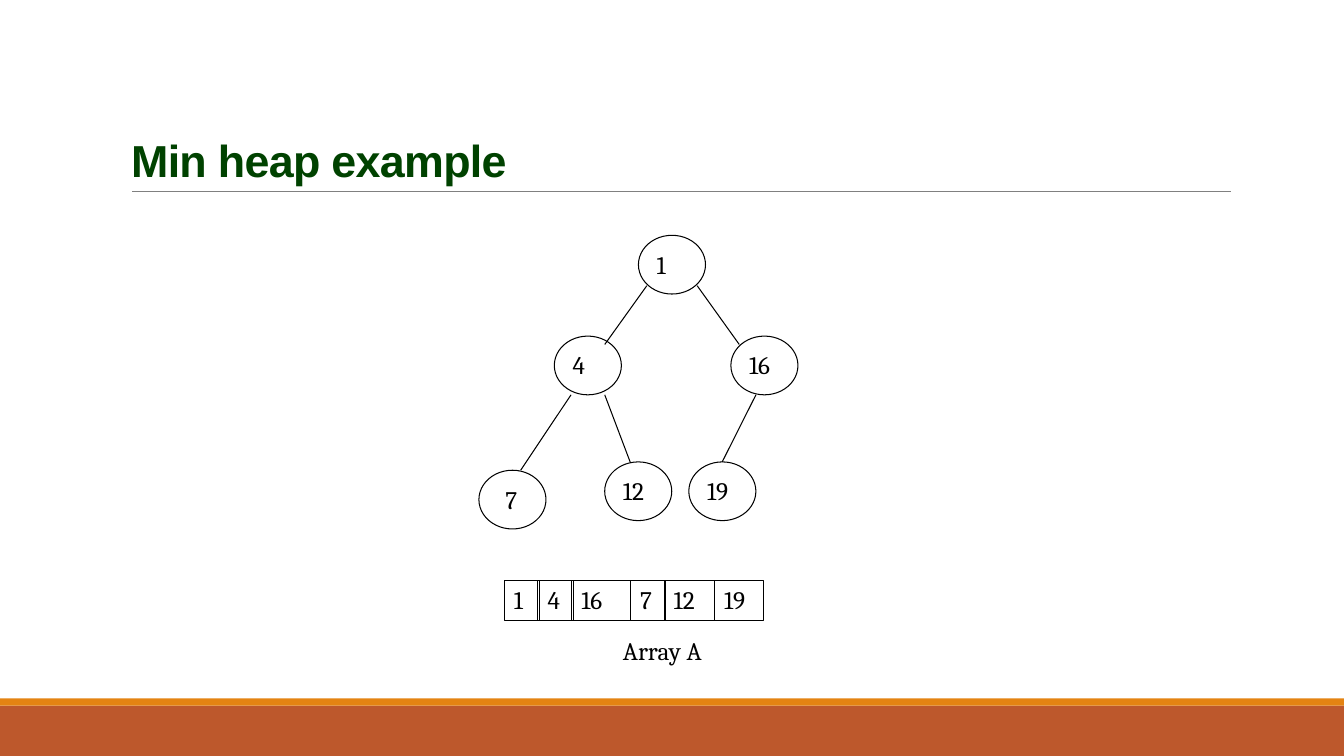
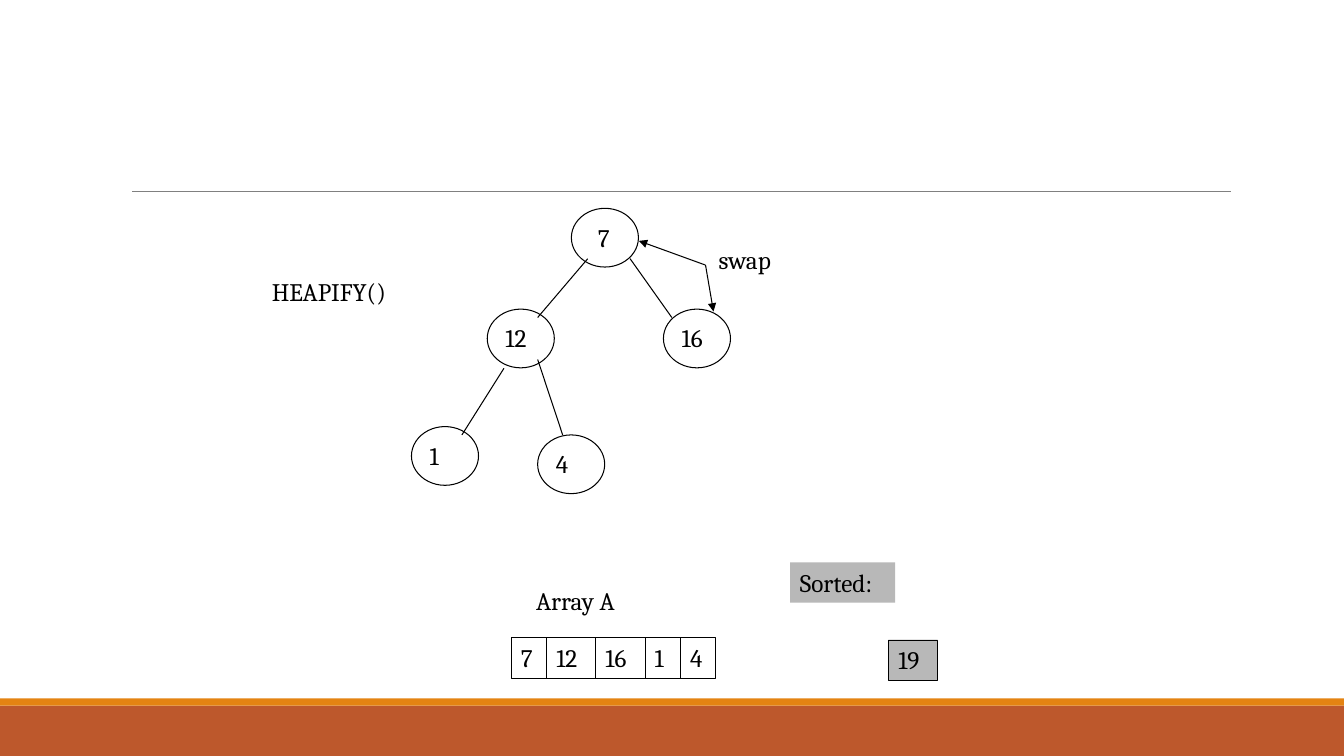
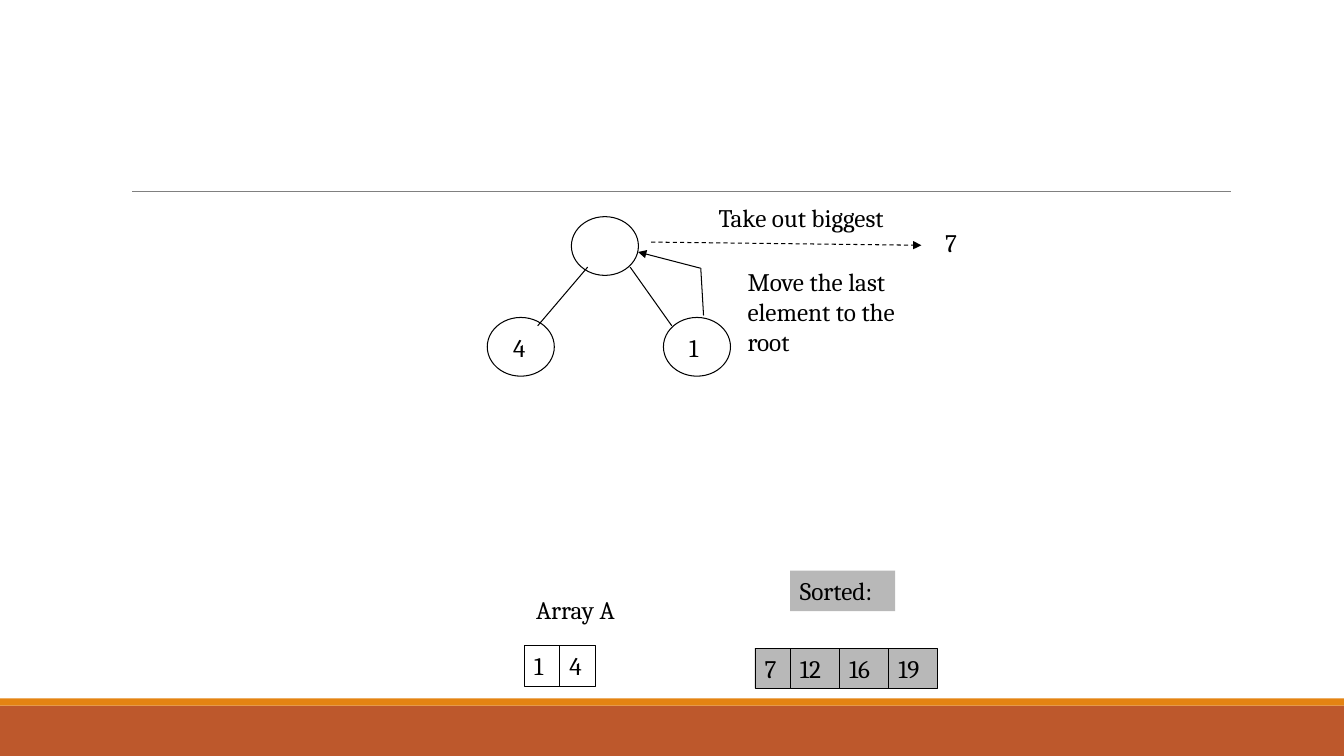
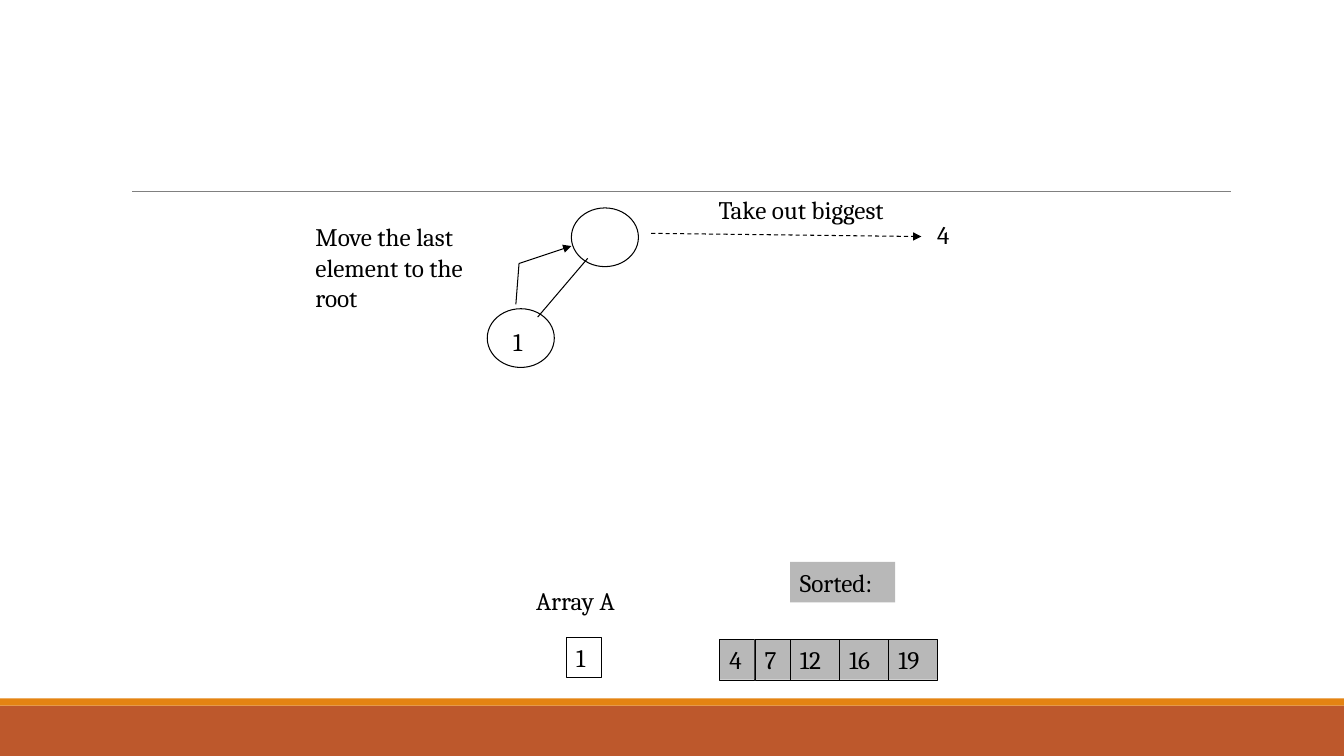
from pptx import Presentation
from pptx import util as u
from pptx.dml.color import RGBColor
from pptx.enum import dml, shapes, text
from pptx.oxml import parse_xml
from pptx.oxml.ns import nsdecls

COLORS = {
    "ink": "000000",
    "title": "004200",
    "rule": "808080",
    "footer": "BD582C",
    "stripe": "E48312",
    "sorted": "B8B8B8",
}
NODE_W, NODE_H = 1.69, 1.48
CELL_H = 1.02
CELL_W = {1: 0.89, 2: 1.24}
MOVE_LAST = ["Move the last", "element to the", "root"]


def rgb(name):
    return RGBColor.from_string(COLORS[name])


def write(tf, *lines, size=18, font="Cambria", color="ink", bold=False,
          anchor=text.MSO_ANCHOR.TOP, line_spacing=None, tracking=None):
    tf.word_wrap = True
    tf.auto_size = text.MSO_AUTO_SIZE.NONE
    tf.vertical_anchor = anchor
    for i, line in enumerate(lines):
        p = tf.add_paragraph() if i else tf.paragraphs[0]
        p.alignment = text.PP_ALIGN.LEFT
        p.line_spacing = line_spacing
        r = p.add_run()
        r.text = line
        r.font.size = u.Pt(size)
        r.font.name = font
        r.font.bold = bold
        r.font.color.rgb = rgb(color)
        if tracking is not None:
            r.font._element.set("spc", str(int(tracking * 100)))


class Deck:
    def __init__(self):
        self.prs = Presentation()
        self.prs.slide_width = u.Cm(33.87)
        self.prs.slide_height = u.Cm(19.05)
        self.s = None

    def slide(self, title=None):
        layout = self.prs.slide_layouts[5 if title else 6]
        self.s = self.prs.slides.add_slide(layout)
        self.shape(0, 17.78, 33.87, 1.27, fill="footer")
        self.shape(0, 17.6, 33.87, 0.18, fill="stripe")
        self.line((3.33, 4.82), (31.01, 4.82), color="rule", width=0.5)
        if title:
            sp = self.s.shapes.title
            sp.left, sp.top = u.Cm(3.05), u.Cm(0.79)
            sp.width, sp.height = u.Cm(27.94), u.Cm(4.04)
            write(sp.text_frame, title, size=32, font="Arial", color="title",
                  bold=True, anchor=text.MSO_ANCHOR.BOTTOM,
                  line_spacing=0.85, tracking=-0.5)

    def shape(self, x, y, w, h, kind=shapes.MSO_SHAPE.RECTANGLE,
              fill=None, width=None):
        sp = self.s.shapes.add_shape(kind, u.Cm(x), u.Cm(y), u.Cm(w), u.Cm(h))
        sp.shadow.inherit = False
        if fill:
            sp.fill.solid()
            sp.fill.fore_color.rgb = rgb(fill)
        else:
            sp.fill.background()
        if width:
            sp.line.color.rgb = rgb("ink")
            sp.line.width = u.Pt(width)
        else:
            sp.line.fill.background()
        return sp

    def label(self, x, y, w, *lines):
        h = CELL_H + 0.77 * (len(lines) - 1)
        sp = self.s.shapes.add_textbox(u.Cm(x), u.Cm(y), u.Cm(w), u.Cm(h))
        write(sp.text_frame, *lines)

    def line(self, start, end, color="ink", width=0.75, arrow=False, dash=False):
        c = self.s.shapes.add_connector(
            shapes.MSO_CONNECTOR.STRAIGHT, *(u.Cm(v) for v in (*start, *end)))
        c.line.color.rgb = rgb(color)
        c.line.width = u.Pt(width)
        if dash:
            c.line.dash_style = dml.MSO_LINE.DASH
        if arrow:
            c.line._get_or_add_ln().append(
                parse_xml(f'<a:tailEnd {nsdecls("a")} type="triangle"/>'))
        c.element.spPr.append(parse_xml(f'<a:effectLst {nsdecls("a")}/>'))

    def node(self, x, y, value=None, dx=0.21, dy=0.22):
        self.shape(x, y, NODE_W, NODE_H, shapes.MSO_SHAPE.OVAL, width=0.75)
        if value:
            self.label(x + dx, y + dy, CELL_W[len(value)], value)

    def row(self, x, y, values, fill=None, pitches=None):
        pitches = pitches or [CELL_W[len(v)] for v in values]
        for value, pitch in zip(values, pitches):
            w = max(pitch, CELL_W[len(value)])
            sp = self.shape(x, y, w, CELL_H, fill=fill, width=0.25)
            write(sp.text_frame, value)
            x += pitch

    def arrays(self, top, x, values, ordered):
        self.label(13.26, top + 9.38, 2.9, "Array A")
        self.row(x, top + 10.81, values)
        sp = self.shape(19.91, top + 8.92, 2.65, CELL_H, fill="sorted")
        write(sp.text_frame, "Sorted:")
        start = 23.63 - sum(CELL_W[len(v)] for v in ordered)
        self.row(start, top + 10.87, ordered, fill="sorted")

    def left_edge(self, top):
        self.line((14.81, top + 1.27), (13.55, top + 2.75))

    def right_edge(self, top):
        self.line((15.88, top + 1.27), (16.93, top + 2.75))

    def take_out(self, top, x, value):
        self.label(17.86, top - 0.48, 5.44, "Take out biggest")
        self.line((16.41, top + 0.64), (23.22, top + 0.72), arrow=True, dash=True)
        self.label(x, top + 0.15, CELL_W[1], value)


def min_heap(d):
    d.slide("Min heap example")
    d.row(12.7, 14.61, ["1", "4", "16", "7", "12", "19"],
          pitches=[0.85, 0.85, 1.48, 0.85, 1.27, 1.23])
    d.label(15.45, 15.88, 3.6, "Array A")
    d.node(16.09, 5.93, "1")
    d.node(13.97, 8.47, "4")
    d.node(18.42, 8.47, "16")
    d.node(15.24, 11.64, "12")
    d.node(12.07, 11.85, "7", dx=0.42)
    d.node(17.36, 11.64, "19")
    for start, end in [
        ((16.3, 7.2), (15.24, 8.68)),
        ((14.39, 9.95), (13.12, 11.85)),
        ((15.24, 9.95), (15.88, 11.64)),
        ((17.57, 7.2), (18.63, 8.68)),
        ((19.05, 9.95), (18.2, 11.64)),
    ]:
        d.line(start, end)


def heapify(d):
    top = 5.25
    d.slide()
    d.node(14.4, top, "7", dx=0.42)
    d.node(12.28, top + 2.54, "12")
    d.node(16.72, top + 2.54, "16")
    d.node(10.37, top + 5.5, "1")
    d.node(13.55, top + 5.71, "4")
    d.left_edge(top)
    d.right_edge(top)
    d.line((12.7, 9.28), (11.64, 10.96))
    d.line((13.55, 9.06), (14.18, 10.96))
    d.arrays(top, 12.88, ["7", "12", "16", "1", "4"], ["19"])
    d.label(6.6, 6.83, 3.96, "HEAPIFY()")
    for end in [(17.98, 7.85), (16.1, 6.07)]:
        d.line((17.78, 6.68), end, arrow=True)
    d.label(17.86, 6.02, 2.03, "swap")


def take_seven(d):
    top = 5.46
    d.slide()
    d.node(14.4, top)
    d.node(12.28, top + 2.54, "4", dx=0.4, dy=0.25)
    d.node(16.72, top + 2.54, "1", dx=0.4, dy=0.25)
    d.left_edge(top)
    d.right_edge(top)
    d.arrays(top, 13.21, ["1", "4"], ["7", "12", "16", "19"])
    d.take_out(top, 23.57, "7")
    d.line((17.73, 7.95), (17.66, 6.76))
    d.line((17.66, 6.76), (16.08, 6.35), arrow=True)
    d.label(18.59, 6.58, 4.95, *MOVE_LAST)


def take_four(d):
    top = 5.24
    d.slide()
    d.node(14.4, top)
    d.node(12.28, top + 2.54, "1", dx=0.4, dy=0.32)
    d.left_edge(top)
    d.arrays(top, 14.27, ["1"], ["4", "7", "12", "16", "19"])
    d.take_out(top, 23.37, "4")
    d.line((13.0, 7.67), (13.08, 6.64))
    d.line((13.08, 6.64), (14.4, 6.2), arrow=True)
    d.label(7.7, 5.46, 4.95, *MOVE_LAST)


def main():
    d = Deck()
    for build in (min_heap, heapify, take_seven, take_four):
        build(d)
    d.prs.save("out.pptx")


if __name__ == "__main__":
    main()
